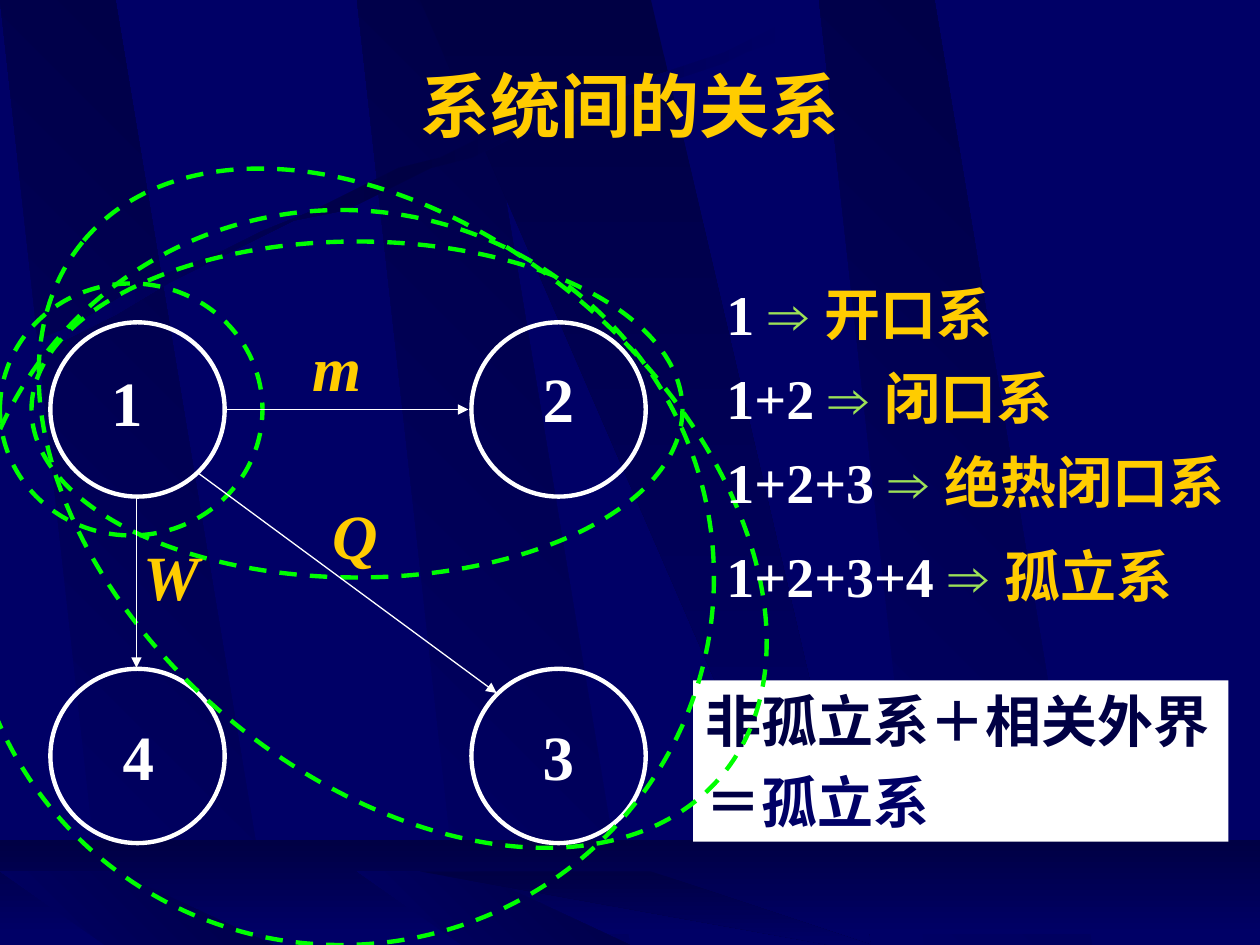
"""Build the slide on relations between thermodynamic systems, on a grid of 120 columns by 90 rows."""
import copy

import pptx
import pptx.dml.color
import pptx.enum.dml
import pptx.enum.shapes
import pptx.enum.text
import pptx.oxml
import pptx.oxml.ns
import pptx.util

NAVY = pptx.dml.color.RGBColor(0x00, 0x00, 0x66)
DARK = pptx.dml.color.RGBColor(0x00, 0x00, 0x44)
WHITE = pptx.dml.color.RGBColor(0xFF, 0xFF, 0xFF)
GOLD = pptx.dml.color.RGBColor(0xFF, 0xCC, 0x00)
GREEN = pptx.dml.color.RGBColor(0x00, 0xFF, 0x00)
LIME = pptx.dml.color.RGBColor(0x9C, 0xE1, 0x57)
SERIF, SANS, CHINESE = "Times New Roman", "Arial", "Noto Sans CJK SC"
CELL = pptx.util.Inches(10) / 120
OVAL = pptx.enum.shapes.MSO_SHAPE.OVAL
RECTANGLE = pptx.enum.shapes.MSO_SHAPE.RECTANGLE
ALIGN = pptx.enum.text.PP_ALIGN
ANCHOR = pptx.enum.text.MSO_ANCHOR


def write_text(shape, paragraphs, size=32, font=SERIF, italic=False, wrap=True,
               align=ALIGN.LEFT, anchor=ANCHOR.TOP, space_before=8):
    """Fill a shape with paragraphs of (text, colour) runs."""
    frame = shape.text_frame
    frame.word_wrap = wrap
    frame.auto_size = pptx.enum.text.MSO_AUTO_SIZE.SHAPE_TO_FIT_TEXT
    frame.vertical_anchor = anchor
    for number, runs in enumerate(paragraphs):
        paragraph = frame.add_paragraph() if number else frame.paragraphs[0]
        paragraph.alignment = align
        if number:
            paragraph.space_before = pptx.util.Pt(space_before)
        for text, colour in runs:
            run = paragraph.add_run()
            run.text = text
            run.font.size = pptx.util.Pt(size)
            run.font.bold = True
            run.font.italic = italic
            run.font.name = SANS if colour == LIME else font
            run.font.color.rgb = colour
            if colour != LIME:
                east_asian = pptx.oxml.parse_xml(
                    f'<a:ea {pptx.oxml.ns.nsdecls("a")} typeface="{CHINESE}"/>')
                run.font._element.find(pptx.oxml.ns.qn("a:latin")).addnext(east_asian)


def paint_gradient(shape, colours, angle):
    """Give a shape an even gradient without outline or shadow."""
    shape.shadow.inherit = False
    shape.line.fill.background()
    shape.fill.gradient()
    shape.fill.gradient_angle = angle
    stop_list = shape._element.spPr.find(".//" + pptx.oxml.ns.qn("a:gsLst"))
    for _ in colours[2:]:
        stop_list.append(copy.deepcopy(stop_list[0]))
    for number, (stop, colour) in enumerate(zip(shape.fill.gradient_stops, colours)):
        stop.position = number / (len(colours) - 1)
        stop.color.rgb = colour


presentation = pptx.Presentation()
presentation.slide_width = round(120 * CELL)
presentation.slide_height = round(90 * CELL)
slide = presentation.slides.add_slide(presentation.slide_layouts[6])
slide.background.fill.solid()
slide.background.fill.fore_color.rgb = NAVY
shapes = slide.shapes

lean = [(10.3, 1), (25.9, 1), (10.9, 0), (0, 0)]
wide = [(0, 0), (39, 1), (43.3, 1), (21.6, 0)]
beams = [(lean, 34, 0, 90), (lean, -0.2, 0, 90), (lean, 78, 0, 90), (wide, 40, 0, 90),
         (lean, 34, 82.6, 7.9), (lean, 0, 82.6, 7.9), (wide, 40, 82.6, 7.9)]
edges = [[(2.4, 33), (34.1, 16.1), (62.9, 7.1), (75.1, 2.2)],
         [(75.5, 2.9), (63.4, 8.3), (30.5, 18.1), (2.8, 34.2)]]
for number, (outline, left, top, height) in enumerate(beams):
    points = [(left + x, top + y * height) for x, y in outline]
    builder = shapes.build_freeform(*points[0], scale=CELL)
    builder.add_line_segments(points[1:])
    beam = builder.convert_to_shape()
    if outline is lean:
        paint_gradient(beam, [NAVY, DARK], 45)
    else:
        paint_gradient(beam, [DARK, NAVY], 270)
    if number == 3:
        points = []
        for edge in edges:
            for step in range(21):
                t = step / 20
                weights = [(1 - t) ** 3, 3 * t * (1 - t) ** 2, 3 * t * t * (1 - t), t ** 3]
                points.append(tuple(sum(w * p[axis] for w, p in zip(weights, edge))
                                    for axis in (0, 1)))
        builder = shapes.build_freeform(*points[0], scale=CELL)
        builder.add_line_segments(points[1:])
        paint_gradient(builder.convert_to_shape(), [NAVY, DARK, NAVY], 0)
        floor = shapes.add_shape(RECTANGLE, 0, *(round(v * CELL) for v in (80, 120, 9)))
        paint_gradient(floor, [DARK, NAVY], 270)

circles = [(4.8 + 40.1 * column, 30.7 + 33 * row, 16.6, 16.6, 0, WHITE)
           for row in (0, 1) for column in (0, 1)]
boundaries = [(0, 27, 25, 24, 0, GREEN), (3, 23, 62, 32, 0, GREEN),
              (-1.3, 22.4, 79.3, 52, 40, GREEN), (-3, 20, 71, 70, 0, GREEN)]

answer = shapes.add_shape(RECTANGLE, *(round(v * CELL) for v in (66, 64.8, 51, 15.36)))
answer.shadow.inherit = False
answer.fill.solid()
answer.fill.fore_color.rgb = WHITE
answer.line.fill.background()
write_text(answer, [[("非孤立系＋相关外界", DARK)], [("＝", DARK), ("孤立系", NAVY)]])

for *box, rotation, colour in circles + boundaries:
    oval = shapes.add_shape(OVAL, *(round(v * CELL) for v in box))
    oval.shadow.inherit = False
    oval.rotation = rotation
    oval.fill.background()
    oval.line.color.rgb = colour
    oval.line.width = pptx.util.Pt(2.5)
    if colour == GREEN:
        oval.line.dash_style = pptx.enum.dml.MSO_LINE.DASH

for ends in [(21.5, 39, 44.6, 39), (13, 47.4, 13, 63.6), (18.8, 45, 47.3, 66)]:
    arrow = shapes.add_connector(pptx.enum.shapes.MSO_CONNECTOR.STRAIGHT,
                                 *(round(v * CELL) for v in ends))
    arrow.line.color.rgb = WHITE
    arrow.line.width = pptx.util.Pt(0.75)
    namespace = pptx.oxml.ns.nsdecls("a")
    arrow.line._get_or_add_ln().append(
        pptx.oxml.parse_xml(f'<a:tailEnd {namespace} type="triangle"/>'))
    arrow._element.spPr.append(pptx.oxml.parse_xml(f"<a:effectLst {namespace}/>"))

labels = [("1", 9.4, 34, 5.4), ("2", 50.5, 33.7, 5.4), ("3", 50.5, 67.7, 5.4),
          ("4", 10.5, 67.7, 5.4), ("m", 28.6, 30.7, 7.1), ("Q", 30.5, 46.7, 6.7),
          ("W", 12.5, 50.6, 7.7)]
for text, left, top, width in labels:
    label = shapes.add_textbox(*(round(v * CELL) for v in (left, top, width, 8.4)))
    write_text(label, [[(text, WHITE if text.isdigit() else GOLD)]], size=36,
               italic=text.isalpha(), wrap=False)

title = shapes.add_textbox(*(round(v * CELL) for v in (15, 5.4, 90, 9.2)))
write_text(title, [[("系统间的关系", GOLD)]], size=40, font=CHINESE,
           align=ALIGN.CENTER, anchor=ANCHOR.MIDDLE)

relations = [("1 ", "开口系", 26, 52), ("1+2 ", "闭口系", 34, 52),
             ("1+2+3 ", "绝热闭口系", 42, 52), ("1+2+3+4 ", "孤立系", 51, 52)]
for systems, kind, top, width in relations:
    relation = shapes.add_textbox(*(round(v * CELL) for v in (68, top, width, 7.7)))
    write_text(relation, [[(systems, WHITE), ("⇒ ", LIME), (kind, GOLD)]])

presentation.save("out.pptx")
